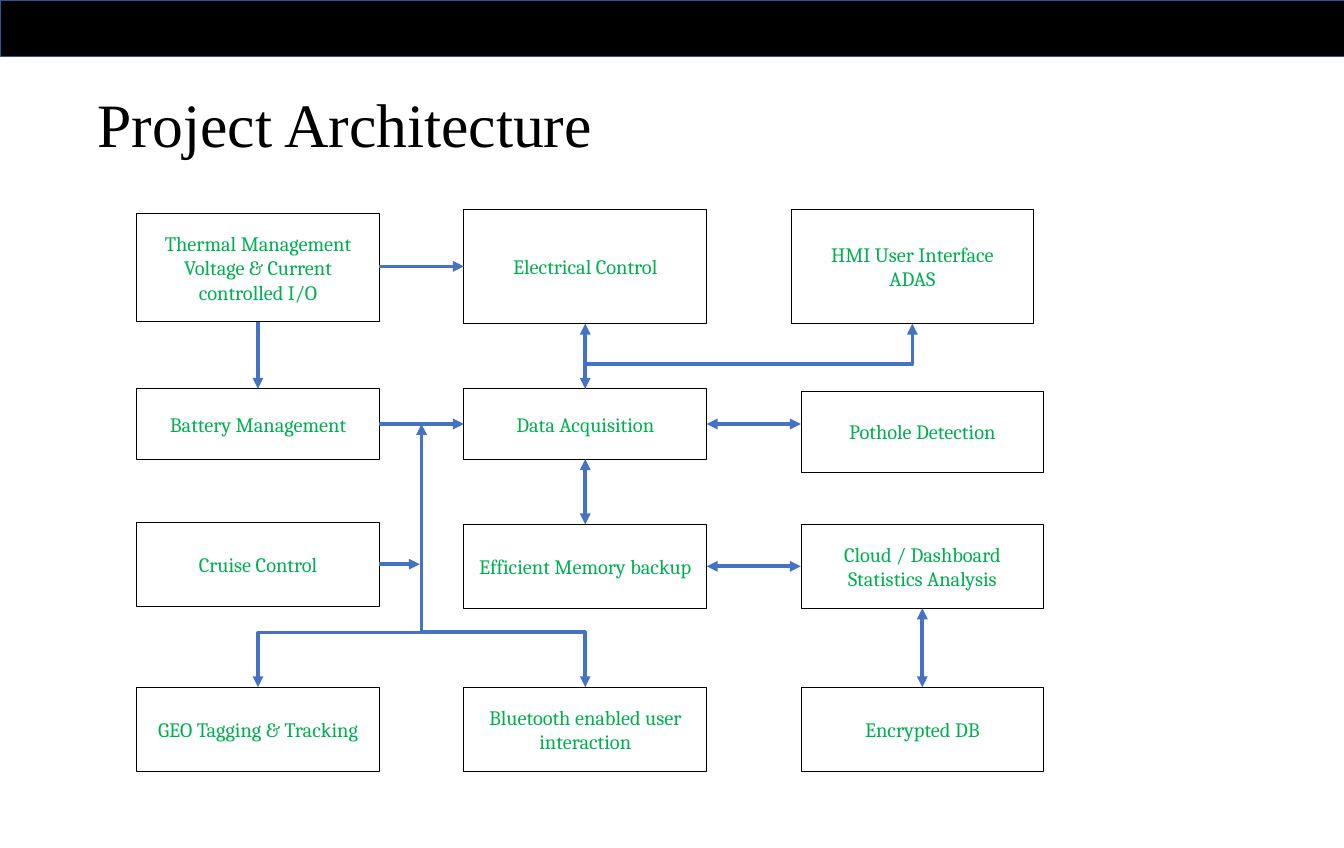
from dataclasses import dataclass

from lxml import etree
from pptx import Presentation
from pptx.dml.color import RGBColor
from pptx.enum.shapes import MSO_CONNECTOR, MSO_SHAPE
from pptx.enum.text import MSO_ANCHOR, PP_ALIGN
from pptx.oxml.ns import qn
from pptx.util import Inches, Pt


@dataclass(frozen=True)
class Theme:
    black: str = "000000"
    white: str = "FFFFFF"
    bar_line: str = "325491"
    label: str = "00B050"
    arrow: str = "4472C4"
    title_font: str = "Times New Roman"
    label_font: str = "Cambria"
    title_size: float = 84.5
    label_size: float = 28
    outline: float = 1
    arrow_width: float = 5


@dataclass(frozen=True)
class Site:
    box: object
    index: int


TOP, LEFT, BOTTOM, RIGHT = range(4)


class Diagram:
    def __init__(self, theme, width, height):
        self.theme = theme
        self.deck = Presentation()
        self.deck.slide_width, self.deck.slide_height = Inches(width), Inches(height)
        self.slide = self.deck.slides.add_slide(self.deck.slide_layouts[5])

    def x(self, percent):
        return round(self.deck.slide_width * percent / 100)

    def y(self, percent):
        return round(self.deck.slide_height * percent / 100)

    def set_text(self, frame, text, font, size, color, align):
        frame.word_wrap = True
        frame.vertical_anchor = MSO_ANCHOR.MIDDLE
        frame.text = text
        for paragraph in frame.paragraphs:
            paragraph.alignment = align
            for run in paragraph.runs:
                run.font.name, run.font.size = font, Pt(size)
                run.font.color.rgb = RGBColor.from_string(color)

    def title(self, text, left, top, width, height):
        title = self.slide.shapes.title
        title.left, title.top = self.x(left), self.y(top)
        title.width, title.height = self.x(width), self.y(height)
        self.set_text(title.text_frame, text, self.theme.title_font,
                      self.theme.title_size, self.theme.black, PP_ALIGN.LEFT)
        title.text_frame.paragraphs[0].line_spacing = 0.9

    def rectangle(self, left, top, width, height, fill, line):
        shape = self.slide.shapes.add_shape(
            MSO_SHAPE.RECTANGLE, self.x(left), self.y(top), self.x(width), self.y(height))
        shape.shadow.inherit = False
        shape.fill.solid()
        shape.fill.fore_color.rgb = RGBColor.from_string(fill)
        shape.line.color.rgb = RGBColor.from_string(line)
        shape.line.width = Pt(self.theme.outline)
        return shape

    def box(self, text, left, top, width, height):
        shape = self.rectangle(left, top, width, height, self.theme.white, self.theme.black)
        self.set_text(shape.text_frame, text, self.theme.label_font,
                      self.theme.label_size, self.theme.label, PP_ALIGN.CENTER)
        return shape

    def point(self, end):
        if not isinstance(end, Site):
            return end
        box = end.box
        middle_x, middle_y = box.left + box.width // 2, box.top + box.height // 2
        return ((middle_x, box.top), (box.left, middle_y),
                (middle_x, box.top + box.height), (box.left + box.width, middle_y))[end.index]

    def connector(self, kind, start, end, both):
        connector = self.slide.shapes.add_connector(kind, *start, *end)
        connector.line.color.rgb = RGBColor.from_string(self.theme.arrow)
        connector.line.width = Pt(self.theme.arrow_width)
        properties = connector._element.spPr
        line = properties.find(qn("a:ln"))
        for tag in ("a:headEnd", "a:tailEnd") if both else ("a:tailEnd",):
            etree.SubElement(line, qn(tag)).set("type", "triangle")
        etree.SubElement(properties, qn("a:effectLst"))
        return connector

    def arrow(self, start, end, both=False):
        connector = self.connector(
            MSO_CONNECTOR.STRAIGHT, self.point(start), self.point(end), both)
        if isinstance(start, Site):
            connector.begin_connect(start.box, start.index)
        if isinstance(end, Site):
            connector.end_connect(end.box, end.index)

    def corner(self, start, end):
        connector = self.connector(MSO_CONNECTOR.ELBOW, start, self.point(end), False)
        connector._element.spPr.find(qn("a:prstGeom")).set("prst", "bentConnector2")

    def step(self, start, end, bend_y):
        (x1, y1), (x2, y2) = start, self.point(end)
        middle_x, middle_y = (x1 + x2) // 2, (y1 + y2) // 2
        half_w, half_h = (y2 - y1) // 2, (x1 - x2) // 2
        connector = self.connector(
            MSO_CONNECTOR.ELBOW, (middle_x - half_w, middle_y - half_h),
            (middle_x + half_w, middle_y + half_h), True)
        properties = connector._element.spPr
        properties.find(qn("a:xfrm")).set("rot", str(90 * 60000))
        geometry = properties.find(qn("a:prstGeom"))
        guides = geometry.find(qn("a:avLst"))
        if guides is None:
            guides = etree.SubElement(geometry, qn("a:avLst"))
        guide = etree.SubElement(guides, qn("a:gd"))
        guide.set("name", "adj1")
        guide.set("fmla", f"val {round(100000 * (bend_y - y1) / (y2 - y1))}")


COLUMNS = (10.16, 34.51, 59.59)
ROWS = ((24.66, 13.51), (45.85, 8.3), (61.83, 9.91), (81.04, 9.91))
BOX_WIDTH = 18.07
BUS_Y, BRANCH_Y = 74.57, 42.94

MODULES = {
    "thermal": (0, 0, "Thermal Management\nVoltage & Current controlled I/O"),
    "electrical": (1, 0, "Electrical Control"),
    "hmi": (2, 0, "HMI User Interface\nADAS"),
    "battery": (0, 1, "Battery Management"),
    "data": (1, 1, "Data Acquisition"),
    "pothole": (2, 1, "Pothole Detection"),
    "cruise": (0, 2, "Cruise Control"),
    "memory": (1, 2, "Efficient Memory backup"),
    "cloud": (2, 2, "Cloud / Dashboard Statistics Analysis"),
    "geo": (0, 3, "GEO Tagging & Tracking"),
    "bluetooth": (1, 3, "Bluetooth enabled user interaction"),
    "encrypted": (2, 3, "Encrypted DB"),
}
NUDGES = {
    "thermal": (0, 0.56, -0.81),
    "hmi": (-0.74, 0, 0),
    "pothole": (0, 0.25, 1.3),
    "cruise": (0, -0.25, 0),
}
LINKS = (
    ("thermal", BOTTOM, "battery", TOP, False),
    ("battery", RIGHT, "data", LEFT, False),
    ("electrical", BOTTOM, "data", TOP, True),
    ("memory", TOP, "data", BOTTOM, True),
    ("memory", RIGHT, "cloud", LEFT, True),
    ("cloud", BOTTOM, "encrypted", TOP, True),
)

diagram = Diagram(Theme(), 25.59, 16.14)
diagram.title("Project Architecture", 6.88, 5.33, 86.24, 19.33)
diagram.rectangle(0, 0, 100, 6.63, diagram.theme.black, diagram.theme.bar_line)

boxes = {}
for name, (column, row, text) in MODULES.items():
    dx, dy, dh = NUDGES.get(name, (0, 0, 0))
    top, height = ROWS[row]
    boxes[name] = diagram.box(text, COLUMNS[column] + dx, top + dy, BOX_WIDTH, height + dh)


def site(name, side):
    return Site(boxes[name], side)


for source, source_side, target, target_side, both in LINKS:
    diagram.arrow(site(source, source_side), site(target, target_side), both)

thermal_x = diagram.point(site("thermal", RIGHT))[0]
electrical_left = site("electrical", LEFT)
diagram.arrow((thermal_x, diagram.point(electrical_left)[1]), electrical_left)

data_right = site("data", RIGHT)
pothole_x = diagram.point(site("pothole", LEFT))[0]
diagram.arrow(data_right, (pothole_x, diagram.point(data_right)[1]), True)

trunk_x = diagram.x((COLUMNS[0] + BOX_WIDTH + COLUMNS[1]) / 2)
trunk_edge = trunk_x - Pt(diagram.theme.arrow_width) // 2
bus_y = diagram.y(BUS_Y)
cruise_right = site("cruise", RIGHT)
diagram.arrow(cruise_right, (trunk_edge, diagram.point(cruise_right)[1]))
diagram.step((trunk_x, diagram.point(data_right)[1]), site("geo", TOP), bus_y)
diagram.corner((trunk_edge, bus_y), site("bluetooth", TOP))

data_x = diagram.point(site("data", TOP))[0]
diagram.corner((data_x, diagram.y(BRANCH_Y)), site("hmi", BOTTOM))

diagram.deck.save("out.pptx")
